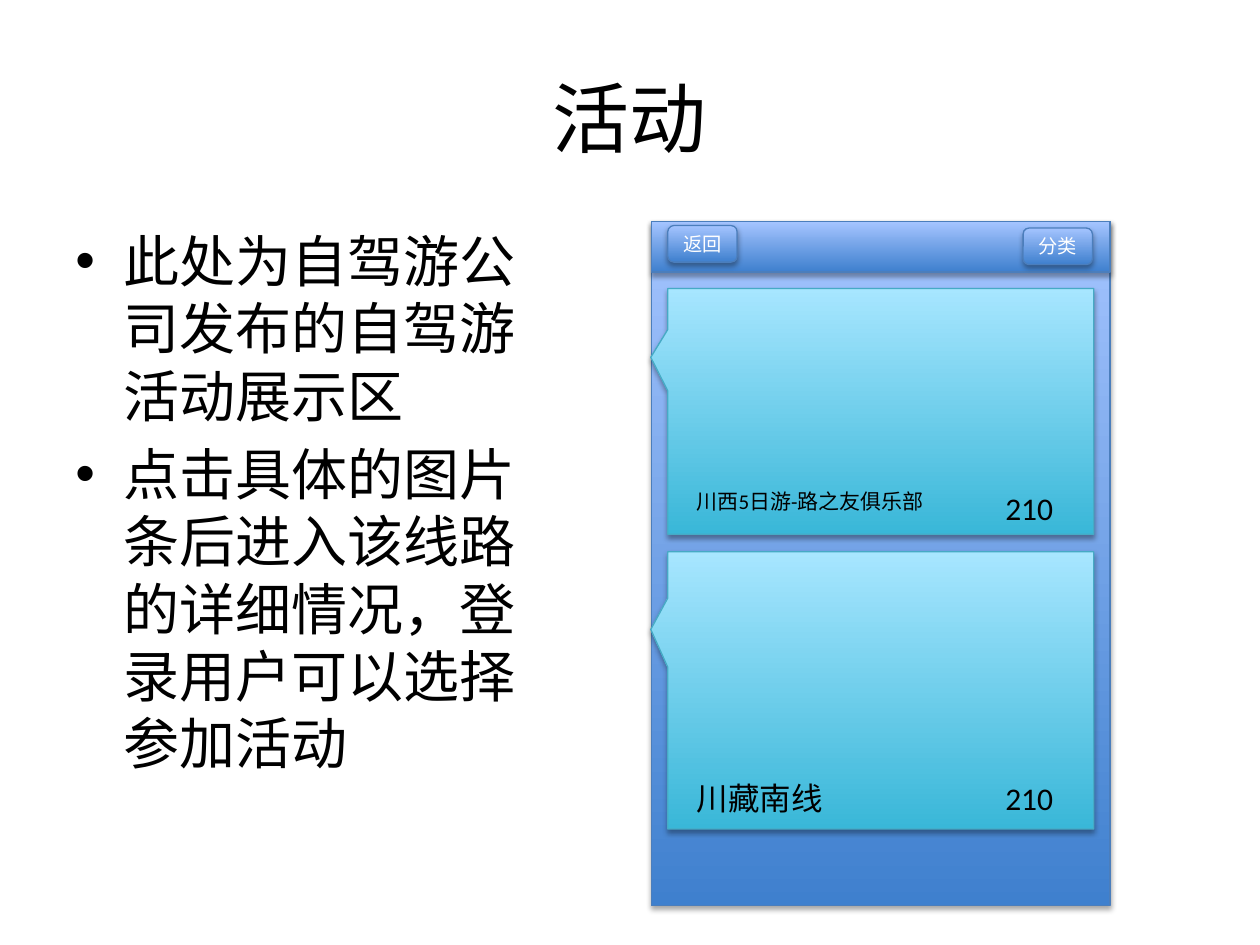
from lxml import etree
from pptx import Presentation
from pptx.dml.color import RGBColor
from pptx.enum.shapes import MSO_SHAPE
from pptx.enum.text import MSO_ANCHOR, PP_ALIGN
from pptx.oxml.ns import qn
from pptx.util import Inches, Pt

RECT = MSO_SHAPE.RECTANGLE
ROUNDED = MSO_SHAPE.ROUNDED_RECTANGLE
CALLOUT = MSO_SHAPE.RECTANGULAR_CALLOUT
LEFT, CENTER = PP_ALIGN.LEFT, PP_ALIGN.CENTER
TOP, MIDDLE = MSO_ANCHOR.TOP, MSO_ANCHOR.MIDDLE

FONT = "Calibri"
COLORS = {
    "text": "000000",
    "button_text": "FFFFFF",
    "blue_bottom": "3F80CE",
    "blue_top": "A4C4FF",
    "blue_line": "4B7EBC",
    "aqua_bottom": "39B7D8",
    "aqua_top": "A7E6FF",
    "aqua_line": "46AAC5",
    "shadow": "000000",
}
COLUMNS, ROWS = 100, 75  # grid cells across and down the slide
BULLET_INDENT = Inches(0.38)


def color(name):
    return RGBColor.from_string(COLORS[name])


def write(frame, *paragraphs, size, ink="text", align=LEFT, anchor=TOP,
          bullet=None, gap=0):
    frame.word_wrap = True
    frame.vertical_anchor = anchor
    for index, wording in enumerate(paragraphs):
        paragraph = frame.paragraphs[0] if index == 0 else frame.add_paragraph()
        paragraph.text = wording
        paragraph.alignment = align
        if index:
            paragraph.space_before = Pt(gap)
        if bullet:
            properties = paragraph._p.get_or_add_pPr()
            properties.set("marL", str(BULLET_INDENT))
            properties.set("indent", str(-BULLET_INDENT))
            etree.SubElement(properties, qn("a:buFont"), typeface="Arial")
            etree.SubElement(properties, qn("a:buChar"), char=bullet)
        font = paragraph.font
        font.name, font.size = FONT, Pt(size)
        font.color.rgb = color(ink)


def add_shadow(shape):
    shape.shadow.inherit = False
    effects = shape._element.spPr.find(qn("a:effectLst"))
    shadow = etree.SubElement(
        effects, qn("a:outerShdw"), blurRad=str(Pt(3.1)), dist=str(Pt(1.8)),
        dir="5400000", rotWithShape="0")
    tint = etree.SubElement(shadow, qn("a:srgbClr"), val=COLORS["shadow"])
    etree.SubElement(tint, qn("a:alpha"), val="35000")


class SlideBuilder:
    def __init__(self, deck):
        self.slide = deck.slides.add_slide(deck.slide_layouts[6])
        self.column = deck.slide_width / COLUMNS
        self.row = deck.slide_height / ROWS

    def place(self, column, row, columns, rows):
        return (round(column * self.column), round(row * self.row),
                round(columns * self.column), round(rows * self.row))

    def text(self, area, *paragraphs, **style):
        box = self.slide.shapes.add_textbox(*self.place(*area))
        write(box.text_frame, *paragraphs, **style)

    def panel(self, area, kind=RECT, palette="blue"):
        panel = self.slide.shapes.add_shape(kind, *self.place(*area))
        panel.fill.gradient()
        panel.fill.gradient_angle = 90
        for stop, end in zip(panel.fill.gradient_stops, ("bottom", "top")):
            stop.color.rgb = color(f"{palette}_{end}")
        panel.line.color.rgb = color(f"{palette}_line")
        panel.line.width = Pt(0.75)
        add_shadow(panel)
        return panel

    def button(self, column, row, label):
        button = self.panel((column, row, 5.5, 2.9), ROUNDED)
        write(button.text_frame, label, size=11, ink="button_text",
              align=CENTER, anchor=MIDDLE)

    def route_card(self, row, rows, caption_row, caption, caption_size, count):
        card = self.panel((53, row, 33.8, rows), CALLOUT, "aqua")
        card.adjustments[0], card.adjustments[1] = -0.54, -0.22
        self.text((54.3, caption_row, 23.6, 4), caption, size=caption_size)
        self.text((78.8, caption_row, 6.9, 4), count, size=18)


def main():
    deck = Presentation()
    deck.slide_width, deck.slide_height = Inches(10), Inches(7.5)
    page = SlideBuilder(deck)

    page.text((5, 3, 90, 12.5), "活动", size=44, align=CENTER, anchor=MIDDLE)
    page.text((5, 17.5, 39.5, 49.5),
              "此处为自驾游公司发布的自驾游活动展示区",
              "点击具体的图片条后进入该线路的详细情况，登录用户可以选择参加活动",
              size=32, bullet="•", gap=6.4)

    for screen_rows in (54.3, 4):  # phone screen, then its title bar
        page.panel((51.7, 17.6, 36.4, screen_rows))
    page.route_card(22.9, 19.5, 38.3, "川西5日游-路之友俱乐部", 12, "210")
    page.route_card(43.8, 22, 61.3, "川藏南线", 18, "210")
    page.button(81.2, 18.1, "分类")
    page.button(53, 17.9, "返回")

    deck.save("out.pptx")


if __name__ == "__main__":
    main()
